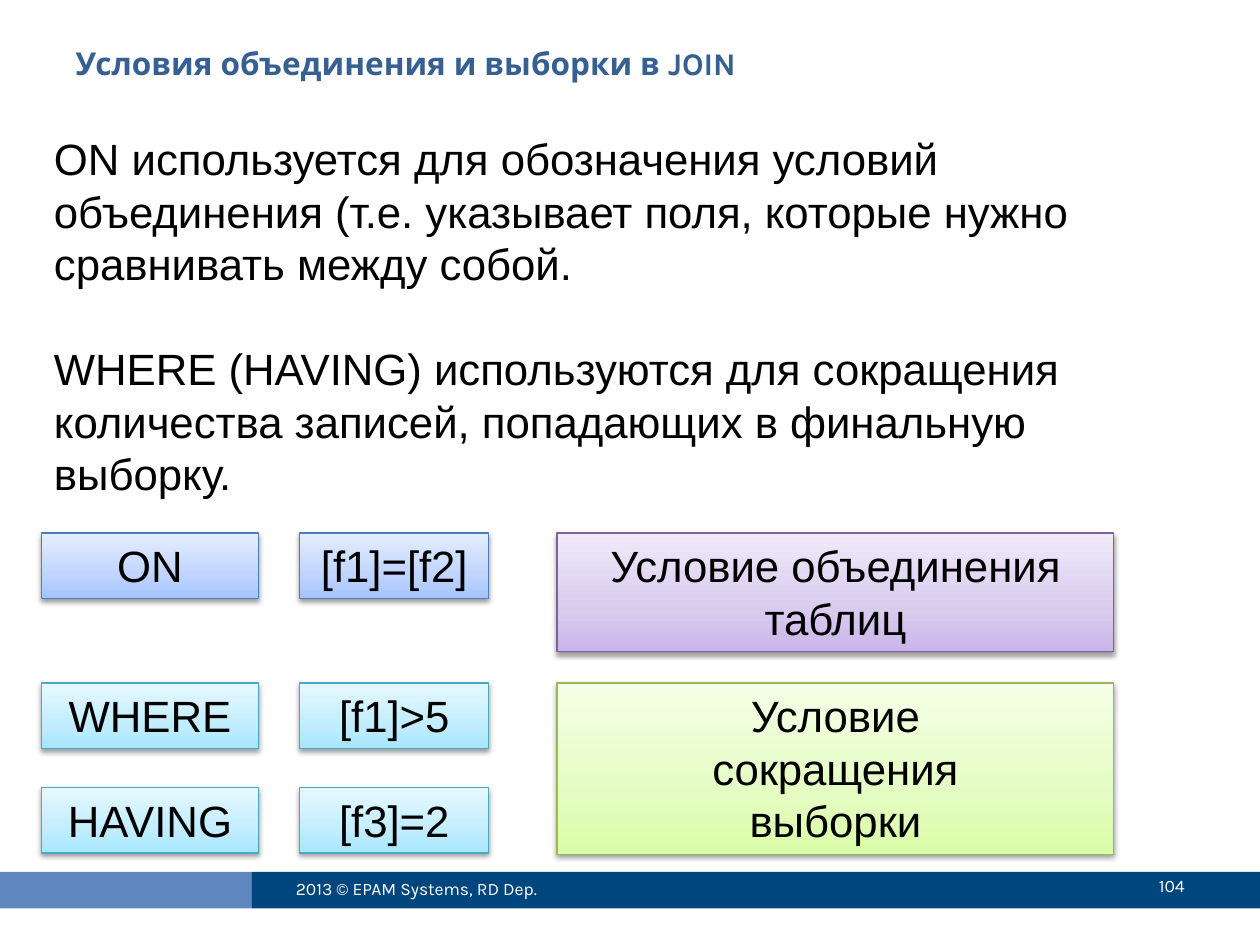
from pptx import Presentation
from pptx.dml.color import RGBColor
from pptx.enum.shapes import MSO_SHAPE
from pptx.enum.text import MSO_ANCHOR, PP_ALIGN
from pptx.oxml import parse_xml
from pptx.oxml.ns import nsdecls
from pptx.util import Inches, Pt

RECT = MSO_SHAPE.RECTANGLE
LEFT, CENTER, RIGHT = PP_ALIGN.LEFT, PP_ALIGN.CENTER, PP_ALIGN.RIGHT
TOP, MIDDLE = MSO_ANCHOR.TOP, MSO_ANCHOR.MIDDLE

COLORS = {"title": "376092", "text": "000000", "white": "FFFFFF",
          "bar": "00467E", "bar_start": "6087BF"}
# Each scheme: outline, then gradient colours from bottom to top
SCHEMES = {
    "blue": ("4B7EBC", ("A4C4FF", "BFD4FF", "E6EEFF")),
    "aqua": ("46AAC5", ("A7E6FF", "C1EDFF", "E7F8FF")),
    "violet": ("7D60A0", ("C9B5E8", "D8CBEE", "F0EAF9")),
    "green": ("98B955", ("DAFDA7", "E4FCC2", "F5FFE7")),
}
STOPS = (0, 35, 100)

# Content
TITLE = "Условия объединения и выборки в JOIN"
BODY = [
    "ON используется для обозначения условий объединения "
    "(т.е. указывает поля, которые нужно сравнивать между собой.",
    "WHERE (HAVING) используются для сокращения количества записей, "
    "попадающих в финальную выборку.",
]
FOOTER = "2013 © EPAM Systems, RD Dep."
PAGE_NUMBER = "104"
CLAUSES = [
    ("blue", "ON", "[f1]=[f2]"),
    ("aqua", "WHERE", "[f1]>5"),
    ("aqua", "HAVING", "[f3]=2"),
]
# Scheme, first row, height, lines
MEANINGS = [
    ("violet", 0, 0.94, ["Условие объединения таблиц"]),
    ("green", 1, 1.36, ["Условие", "сокращения", "выборки"]),
]

# Grid in inches: (left, width) of columns, top of rows
COLUMNS = [(0.33, 1.72), (2.38, 1.5), (4.42, 4.42)]
ROWS = [4.23, 5.42, 6.25]
CELL_HEIGHT = 0.52

# Text formats
HEADING = {"name": "Karla", "size": Pt(18), "bold": True}
SMALL = {"name": "Karla", "size": Pt(10)}
LARGE = {"name": "Arial", "size": Pt(25)}


def rgb(name):
    return RGBColor.from_string(COLORS[name])


def write(shape, lines, style, color="text", align=LEFT, anchor=TOP, gap=0):
    frame = shape.text_frame
    frame.word_wrap = True
    frame.vertical_anchor = anchor
    for index, line in enumerate(lines):
        para = frame.add_paragraph() if index else frame.paragraphs[0]
        para.alignment = align
        if index and gap:
            para.space_before = Pt(gap)
        span = para.add_run()
        span.text = line
        for key, value in style.items():
            setattr(span.font, key, value)
        span.font.color.rgb = rgb(color)


def add_text(page, area, lines, style, **options):
    write(page.shapes.add_textbox(*map(Inches, area)), lines, style, **options)


def add_bar(page, area, color):
    bar = page.shapes.add_shape(RECT, *map(Inches, area))
    bar.shadow.inherit = False
    bar.fill.solid()
    bar.fill.fore_color.rgb = rgb(color)
    bar.line.fill.background()


def add_card(page, column, row, height, scheme, lines):
    left, width = COLUMNS[column]
    card = page.shapes.add_shape(RECT, *map(Inches, (left, ROWS[row], width, height)))
    outline, shades = SCHEMES[scheme]
    card.line.color.rgb = RGBColor.from_string(outline)
    card.line.width = Pt(0.75)
    # Three-stop gradient and soft shadow
    stops = "".join(f'<a:gs pos="{stop * 1000}"><a:srgbClr val="{shade}"/></a:gs>'
                    for stop, shade in zip(STOPS, shades))
    gradient = parse_xml(f'<a:gradFill {nsdecls("a")} rotWithShape="1"><a:gsLst>{stops}'
                         '</a:gsLst><a:lin ang="16200000" scaled="1"/></a:gradFill>')
    shadow = parse_xml(f'<a:effectLst {nsdecls("a")}><a:outerShdw blurRad="{Pt(3.1)}" '
                       f'dist="{Pt(1.6)}" dir="5400000" rotWithShape="0">'
                       '<a:srgbClr val="000000"><a:alpha val="38000"/></a:srgbClr>'
                       '</a:outerShdw></a:effectLst>')
    properties = card.element.spPr
    properties.insert(2, gradient)
    properties.append(shadow)
    write(card, lines, LARGE, align=CENTER)


def main():
    deck = Presentation()
    deck.slide_width, deck.slide_height = Inches(10), Inches(7.5)
    page = deck.slides.add_slide(deck.slide_layouts[6])

    # Footer band
    add_bar(page, (0, 6.92, 2, 0.29), "bar_start")
    add_bar(page, (2, 6.92, 8, 0.29), "bar")
    add_text(page, (2.25, 6.85, 2.67, 0.4), [FOOTER], SMALL, color="white", anchor=MIDDLE)
    add_text(page, (8.42, 6.83, 1.08, 0.4), [PAGE_NUMBER], SMALL, color="white",
             align=RIGHT, anchor=MIDDLE)

    # Title and explanation
    add_text(page, (0.5, 0.3, 9, 0.78), [TITLE], HEADING, color="title")
    add_text(page, (0.33, 1, 9.08, 3.05), BODY, LARGE, gap=30)

    # Clauses with examples, then what they mean
    for row, (scheme, *labels) in enumerate(CLAUSES):
        for column, label in enumerate(labels):
            add_card(page, column, row, CELL_HEIGHT, scheme, [label])
    for scheme, row, height, lines in MEANINGS:
        add_card(page, 2, row, height, scheme, lines)

    deck.save("out.pptx")


if __name__ == "__main__":
    main()
